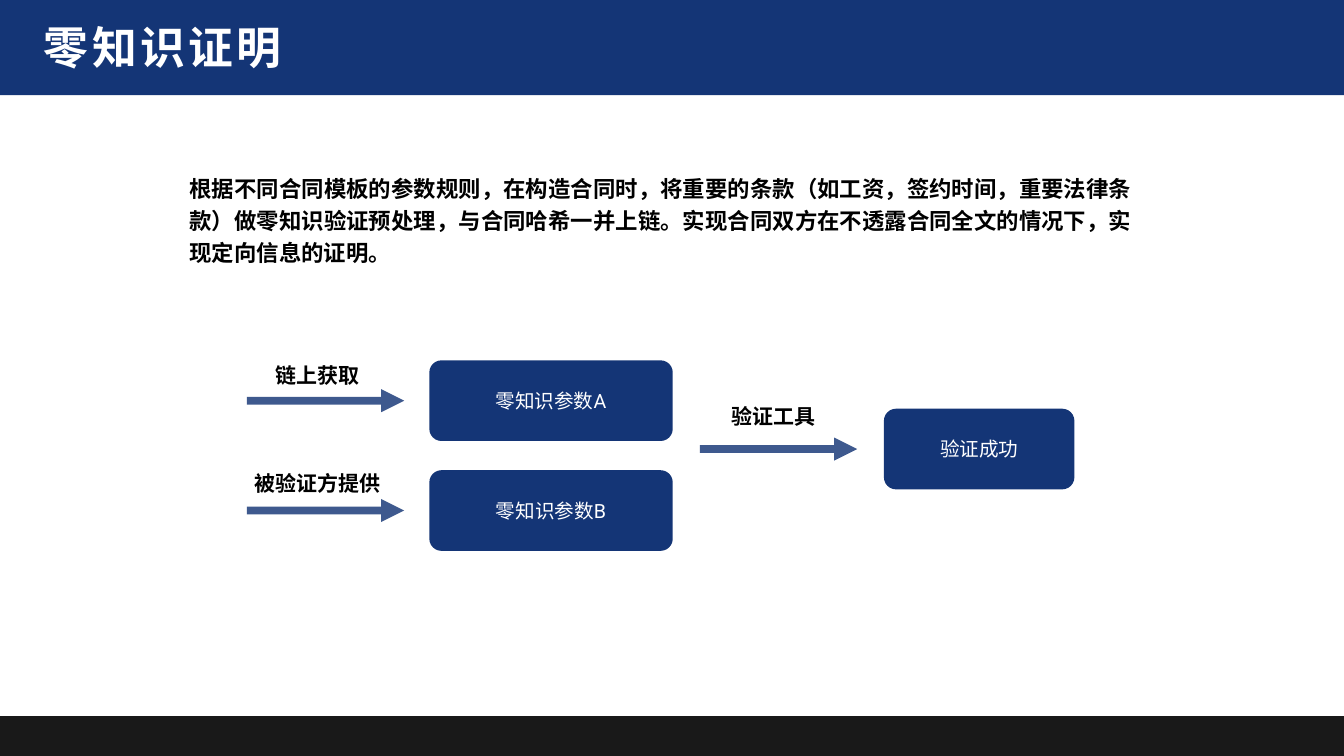
from pptx import Presentation
from pptx.dml.color import RGBColor
from pptx.enum.shapes import MSO_CONNECTOR, MSO_SHAPE
from pptx.enum.text import MSO_ANCHOR, MSO_AUTO_SIZE, PP_ALIGN
from pptx.oxml.ns import qn
from pptx.util import Pt
from lxml import etree

PX = 9144  # EMU per px, 100 px to the inch
WIDTH, HEIGHT = 2667, 1500

NAVY = RGBColor(0x14, 0x35, 0x76)
BLACK = RGBColor(0, 0, 0)
WHITE = RGBColor(255, 255, 255)

RECT, ROUND = MSO_SHAPE.RECTANGLE, MSO_SHAPE.ROUNDED_RECTANGLE
STRAIGHT = MSO_CONNECTOR.STRAIGHT
LEFT, CENTER, JUSTIFY = PP_ALIGN.LEFT, PP_ALIGN.CENTER, PP_ALIGN.JUSTIFY
MIDDLE = MSO_ANCHOR.MIDDLE
GROW = MSO_AUTO_SIZE.SHAPE_TO_FIT_TEXT

TITLE_FONT, BODY_FONT = "Montserrat", "Roboto"
INTRO = (
    "根据不同合同模板的参数规则，在构造合同时，将重要的条款"
    "（如工资，签约时间，重要法律条款）做零知识验证预处理，"
    "与合同哈希一并上链。实现合同双方在不透露合同全文的情况下，"
    "实现定向信息的证明。"
)
NODE_H = 160
ARROW_W = 312


def scale(*sizes):
    return [size * PX for size in sizes]


def fade(shape, percent):
    """Set the opacity of the shape's colour."""
    color = shape._element.spPr.find(".//" + qn("a:srgbClr"))
    etree.SubElement(color, qn("a:alpha")).set("val", str(percent * 1000))


def add_block(slide, kind, box, color):
    block = slide.shapes.add_shape(kind, *scale(*box))
    block.shadow.inherit = False
    block.fill.solid()
    block.fill.fore_color.rgb = color
    block.line.fill.background()
    return block


def write(shape, text, size, color, align=CENTER, bold=False,
          font=BODY_FONT, inset=6, wrap=True):
    """Fill the shape with one styled run and return that run."""
    frame = shape.text_frame
    frame.word_wrap = wrap
    frame.vertical_anchor = MIDDLE
    frame.margin_left = frame.margin_right = inset * PX
    frame.margin_top = frame.margin_bottom = inset * PX
    para = frame.paragraphs[0]
    para.alignment = align
    run = para.add_run()
    run.text = text
    run.font.size = Pt(size)
    run.font.bold = bold
    run.font.color.rgb = color
    run.font.name = font
    return run


def add_text(slide, box, *args, **style):
    label = slide.shapes.add_textbox(*scale(*box))
    run = write(label, *args, bold=True, **style)
    label.text_frame.auto_size = GROW
    return label, run


def add_header(slide, box, title):
    x, y, _, _ = box
    add_block(slide, RECT, box, NAVY)
    _, run = add_text(slide, (x + 87, y + 35, 481, 125), title, 64, WHITE,
                      align=LEFT, font=TITLE_FONT, inset=0, wrap=False)
    run.font._element.set("spc", "500")


def add_footer(slide, box):
    fade(add_block(slide, RECT, box, BLACK), 90)


def add_intro(slide, box, text):
    label, _ = add_text(slide, box, text, 32, BLACK, align=JUSTIFY)
    label.text_frame.paragraphs[0].line_spacing = 1.2


def add_node(slide, box, text):
    node = add_block(slide, ROUND, box, NAVY)
    node.adjustments[0] = 0.15
    write(node, text, 28, WHITE)


def add_step(slide, x, y, box, text):
    """Draw an arrow from (x, y) to the right, with its label in box."""
    add_text(slide, box, text, 30, BLACK, wrap=False)
    arrow = slide.shapes.add_connector(STRAIGHT, *scale(x, y, x + ARROW_W, y))
    arrow.line.color.rgb = NAVY
    arrow.line.width = Pt(11)
    fade(arrow, 81)
    tail = etree.SubElement(arrow.line._get_or_add_ln(), qn("a:tailEnd"))
    tail.set("type", "triangle")
    etree.SubElement(arrow._element.spPr, qn("a:effectLst"))


def add_flow(slide, x, y):
    """Lay out the two inputs, the check and the result from (x, y)."""
    pitch, mid = 218, NODE_H // 2
    inputs = [
        ("零知识参数A", "链上获取", (51, -5, 179, 69)),
        ("零知识参数B", "被验证方提供", (9, -9, 263, 69)),
    ]
    for row, (name, step, (dx, dy, w, h)) in enumerate(inputs):
        top = y + row * pitch
        add_step(slide, x, top + mid, (x + dx, top + dy, w, h), step)
        add_node(slide, (x + 362, top, 483, NODE_H), name)
    top = y + 96
    add_step(slide, x + 899, top + mid, (x + 956, top - 19, 179, 69),
             "验证工具")
    add_node(slide, (x + 1264, top, 378, NODE_H), "验证成功")


def main():
    deck = Presentation()
    deck.slide_width, deck.slide_height = scale(WIDTH, HEIGHT)
    slide = deck.slides.add_slide(deck.slide_layouts[6])
    add_footer(slide, (0, 1421, WIDTH, 88))
    add_header(slide, (0, -6, WIDTH, 195), "零知识证明")
    add_intro(slide, (370, 320, 1882, 224), INTRO)
    add_flow(slide, 490, 715)
    deck.save("out.pptx")


if __name__ == "__main__":
    main()
